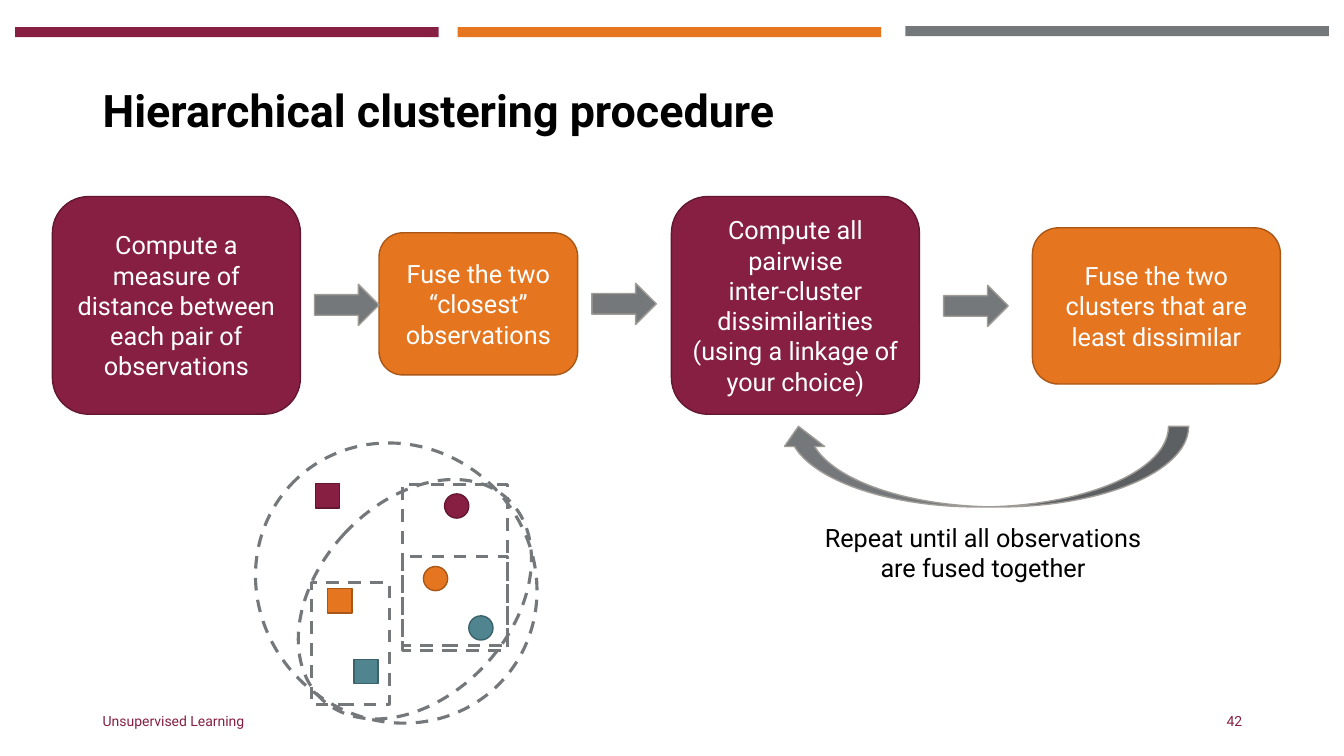
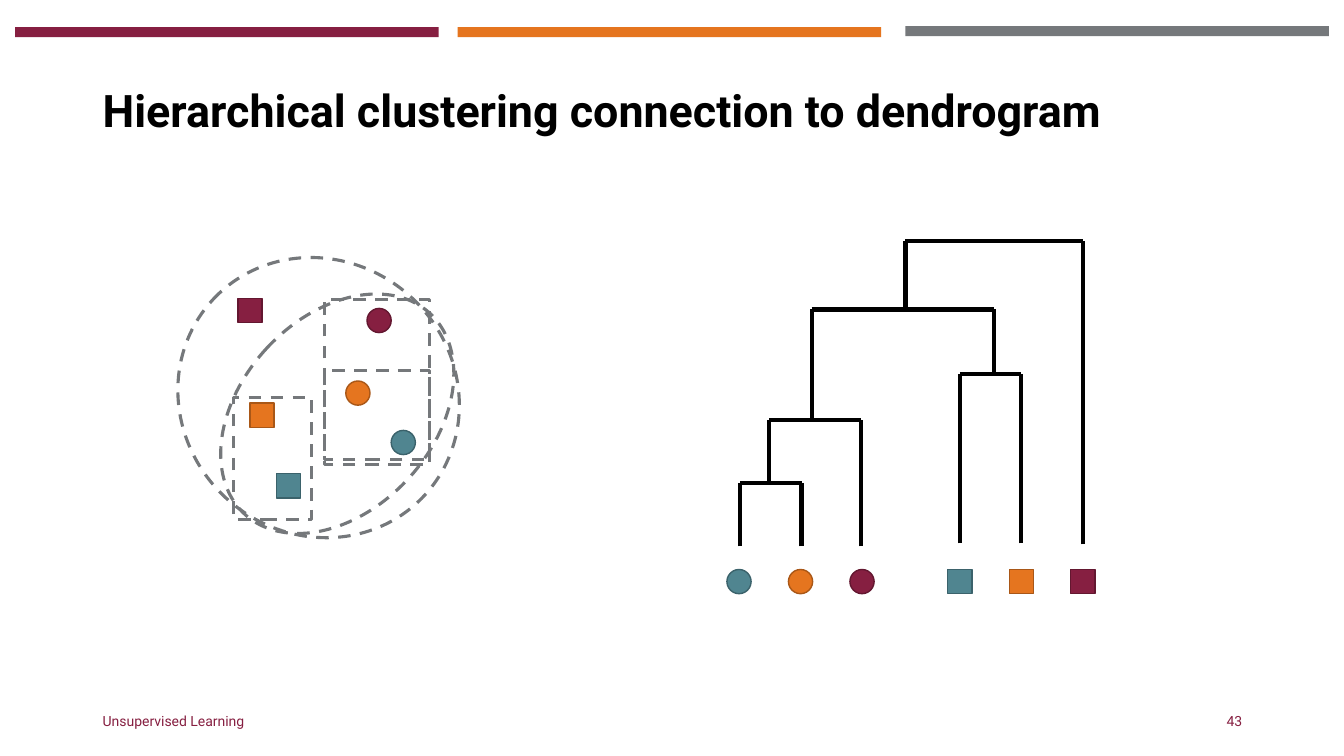
from lxml import etree
from pptx import Presentation
from pptx.dml.color import RGBColor
from pptx.enum.dml import MSO_LINE
from pptx.enum.shapes import MSO_CONNECTOR, MSO_SHAPE
from pptx.enum.text import MSO_ANCHOR, PP_ALIGN
from pptx.oxml.ns import qn
from pptx.util import Inches, Pt

RECT, OVAL = MSO_SHAPE.RECTANGLE, MSO_SHAPE.OVAL
ROUND_RECT = MSO_SHAPE.ROUNDED_RECTANGLE
RIGHT_ARROW, CURVED_ARROW = MSO_SHAPE.RIGHT_ARROW, MSO_SHAPE.CURVED_UP_ARROW
STRAIGHT, DASH = MSO_CONNECTOR.STRAIGHT, MSO_LINE.DASH
LEFT, CENTER, RIGHT = PP_ALIGN.LEFT, PP_ALIGN.CENTER, PP_ALIGN.RIGHT
TOP, MIDDLE = MSO_ANCHOR.TOP, MSO_ANCHOR.MIDDLE

MAROON = RGBColor(0x86, 0x1F, 0x41)
ORANGE = RGBColor(0xE5, 0x75, 0x1F)
TEAL = RGBColor(0x50, 0x85, 0x90)
GRAY = RGBColor(0x75, 0x78, 0x7B)
BLACK = RGBColor(0, 0, 0)
WHITE = RGBColor(0xFF, 0xFF, 0xFF)
EDGES = {
    MAROON: RGBColor(0x63, 0x17, 0x30),
    ORANGE: RGBColor(0xA9, 0x57, 0x17),
    TEAL: RGBColor(0x3B, 0x62, 0x6B),
    GRAY: RGBColor(0x9F, 0x9B, 0x96),
}
FONT = "Roboto"
MARK = 0.24


def write(tf, lines, size, color, align=LEFT, anchor=MIDDLE, bold=False):
    tf.word_wrap = True
    tf.vertical_anchor = anchor
    for i, line in enumerate(lines):
        p = tf.paragraphs[0] if i == 0 else tf.add_paragraph()
        p.alignment = align
        r = p.add_run()
        r.text = line
        r.font.name = FONT
        r.font.size = Pt(size)
        r.font.bold = bold
        r.font.color.rgb = color
    return tf


def add_text(s, box, text, size, color, **style):
    tb = s.shapes.add_textbox(*map(Inches, box))
    return write(tb.text_frame, [text], size, color, **style)


def add_solid(s, kind, box, color, edge=None):
    sp = s.shapes.add_shape(kind, *map(Inches, box))
    sp.shadow.inherit = False
    sp.fill.solid()
    sp.fill.fore_color.rgb = color
    if edge is None:
        sp.line.fill.background()
    else:
        sp.line.color.rgb = edge
        sp.line.width = Pt(1)
    return sp


def add_outline(s, kind, box, rotation=0):
    sp = s.shapes.add_shape(kind, *map(Inches, box))
    sp.shadow.inherit = False
    sp.fill.background()
    sp.line.color.rgb = GRAY
    sp.line.width = Pt(2.25)
    sp.line.dash_style = DASH
    sp.rotation = rotation


def add_mark(s, kind, x, y, color):
    add_solid(s, kind, (x, y, MARK, MARK), color, EDGES[color])


def add_step(s, box, color, lines):
    sp = add_solid(s, ROUND_RECT, box, color, EDGES[color])
    write(sp.text_frame, lines, 18, WHITE, align=CENTER)


def add_line(s, x1, y1, x2, y2):
    c = s.shapes.add_connector(STRAIGHT, *map(Inches, (x1, y1, x2, y2)))
    c.line.color.rgb = BLACK
    c.line.width = Pt(3)
    etree.SubElement(c._element.spPr, qn("a:effectLst"))


def add_merge(s, left, right, y):
    for x, foot in (left, right):
        add_line(s, x, foot, x, y)
    add_line(s, left[0], y, right[0], y)


def add_clusters(s, x, y):
    for kind, dx, dy, color in [
        (RECT, 0.75, 1.41, ORANGE),
        (RECT, 1.01, 2.11, TEAL),
        (OVAL, 1.91, 0.47, MAROON),
        (OVAL, 1.7, 1.19, ORANGE),
        (RECT, 0.63, 0.37, MAROON),
        (OVAL, 2.15, 1.68, TEAL),
    ]:
        add_mark(s, kind, x + dx, y + dy, color)
    for kind, dx, dy, w, h, rotation in [
        (RECT, 1.49, 1.09, 1.04, 0.93, 0),
        (RECT, 1.49, 0.38, 1.04, 1.59, 0),
        (RECT, 0.59, 1.35, 0.77, 1.21, 0),
        (OVAL, 0.66, 0.16, 1.91, 2.71, 42.7),
        (OVAL, 0, 0, 2.86, 2.71, 42.7),
    ]:
        add_outline(s, kind, (x + dx, y + dy, w, h), rotation)


def add_dendrogram(s):
    for kind, x, colors in [
        (OVAL, 7.21, (TEAL, ORANGE, MAROON)),
        (RECT, 9.4, (TEAL, ORANGE, MAROON)),
    ]:
        for i, color in enumerate(colors):
            add_mark(s, kind, x + 0.61 * i, 5.65, color)
    for left, right, y in [
        ((7.34, 5.42), (7.95, 5.42), 4.79),
        ((7.63, 4.79), (8.54, 5.42), 4.17),
        ((9.52, 5.39), (10.13, 5.39), 3.71),
        ((8.05, 4.17), (9.86, 3.71), 3.07),
        ((8.98, 3.07), (10.74, 5.4), 2.39),
    ]:
        add_merge(s, left, right, y)


def add_slide(prs, title, number):
    s = prs.slides.add_slide(prs.slide_layouts[6])
    for x, y, color in [(0.15, 0.27, MAROON), (4.54, 0.27, ORANGE),
                        (8.98, 0.26, GRAY)]:
        add_solid(s, RECT, (x, y, 4.2, 0.1), color)
    tf = add_text(s, (0.92, 0.4, 11.5, 1.45), title, 32, BLACK, bold=True)
    tf.paragraphs[0].line_spacing = 0.9
    add_text(s, (0.92, 6.95, 4.5, 0.4), "Unsupervised Learning", 10, MAROON)
    add_text(s, (9.42, 6.95, 3, 0.4), str(number), 10, MAROON, align=RIGHT)
    return s


def procedure_slide(prs):
    s = add_slide(prs, "Hierarchical clustering procedure", 42)
    for box, color, lines in [
        ((0.52, 1.95, 2.46, 2.16), MAROON,
         ["Compute a measure of distance between each pair of observations"]),
        ((3.76, 2.31, 1.97, 1.41), ORANGE,
         ["Fuse the two “closest” observations"]),
        ((6.66, 1.95, 2.46, 2.16), MAROON,
         ["Compute all pairwise",
          "inter-cluster dissimilarities (using a linkage of your choice)"]),
        ((10.24, 2.26, 2.46, 1.55), ORANGE,
         ["Fuse the two clusters that are least dissimilar"]),
    ]:
        add_step(s, box, color, lines)
    for x, y in [(3.12, 2.82), (5.87, 2.81), (9.36, 2.83)]:
        add_solid(s, RIGHT_ARROW, (x, y, 0.64, 0.41), GRAY, EDGES[GRAY])
    loop = add_solid(s, CURVED_ARROW, (7.72, 4.23, 4.07, 0.8), GRAY, EDGES[GRAY])
    loop._element.spPr.find(qn("a:xfrm")).set("flipH", "1")
    add_text(s, (7.96, 5.13, 3.58, 1.01),
             "Repeat until all observations are fused together",
             18, BLACK, align=CENTER, anchor=TOP)
    add_clusters(s, 2.5, 4.43)


def dendrogram_slide(prs):
    s = add_slide(prs, "Hierarchical clustering connection to dendrogram", 43)
    add_clusters(s, 1.73, 2.59)
    add_dendrogram(s)


def main():
    prs = Presentation()
    prs.slide_width, prs.slide_height = Inches(13.33), Inches(7.5)
    procedure_slide(prs)
    dendrogram_slide(prs)
    prs.save("out.pptx")


if __name__ == "__main__":
    main()
